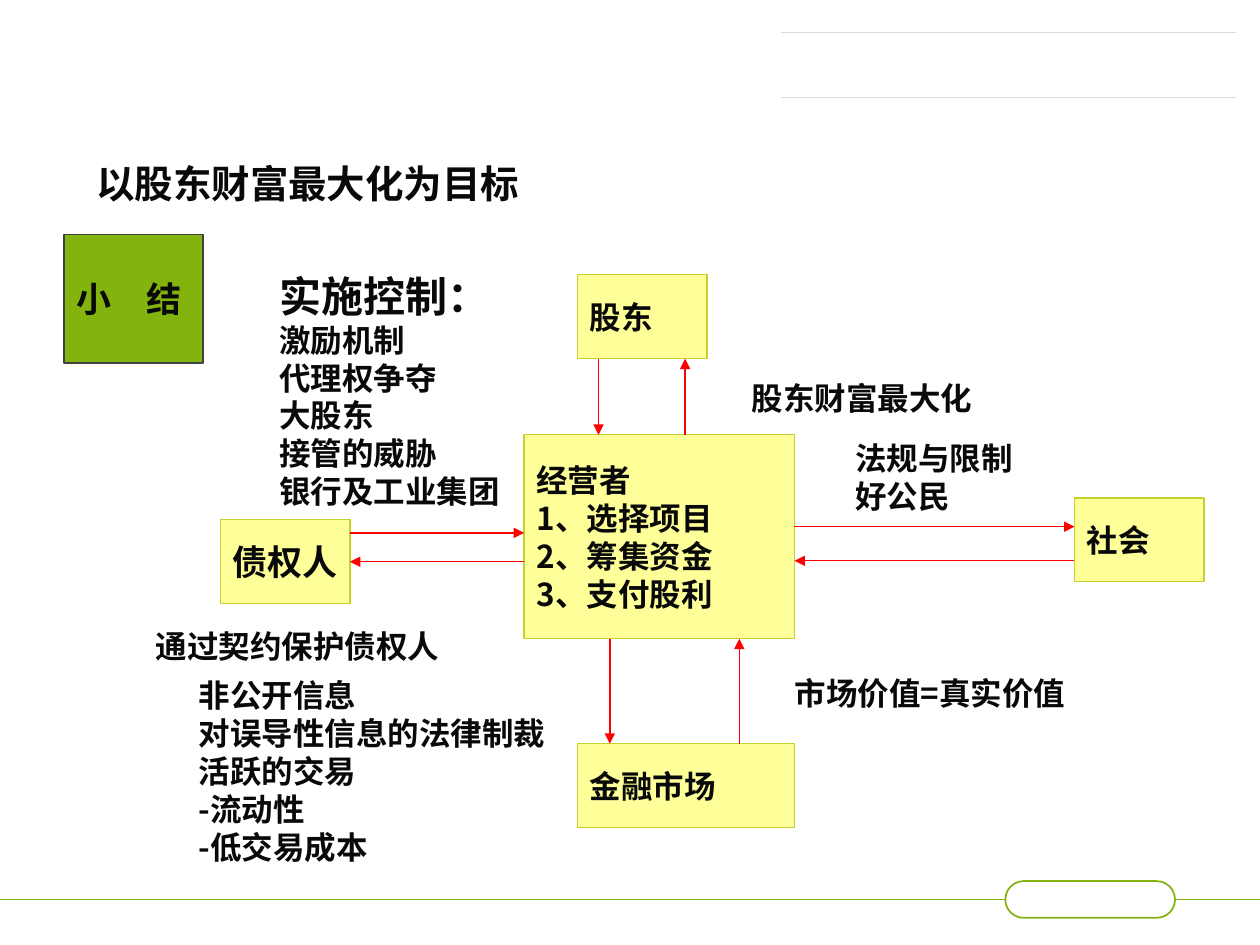
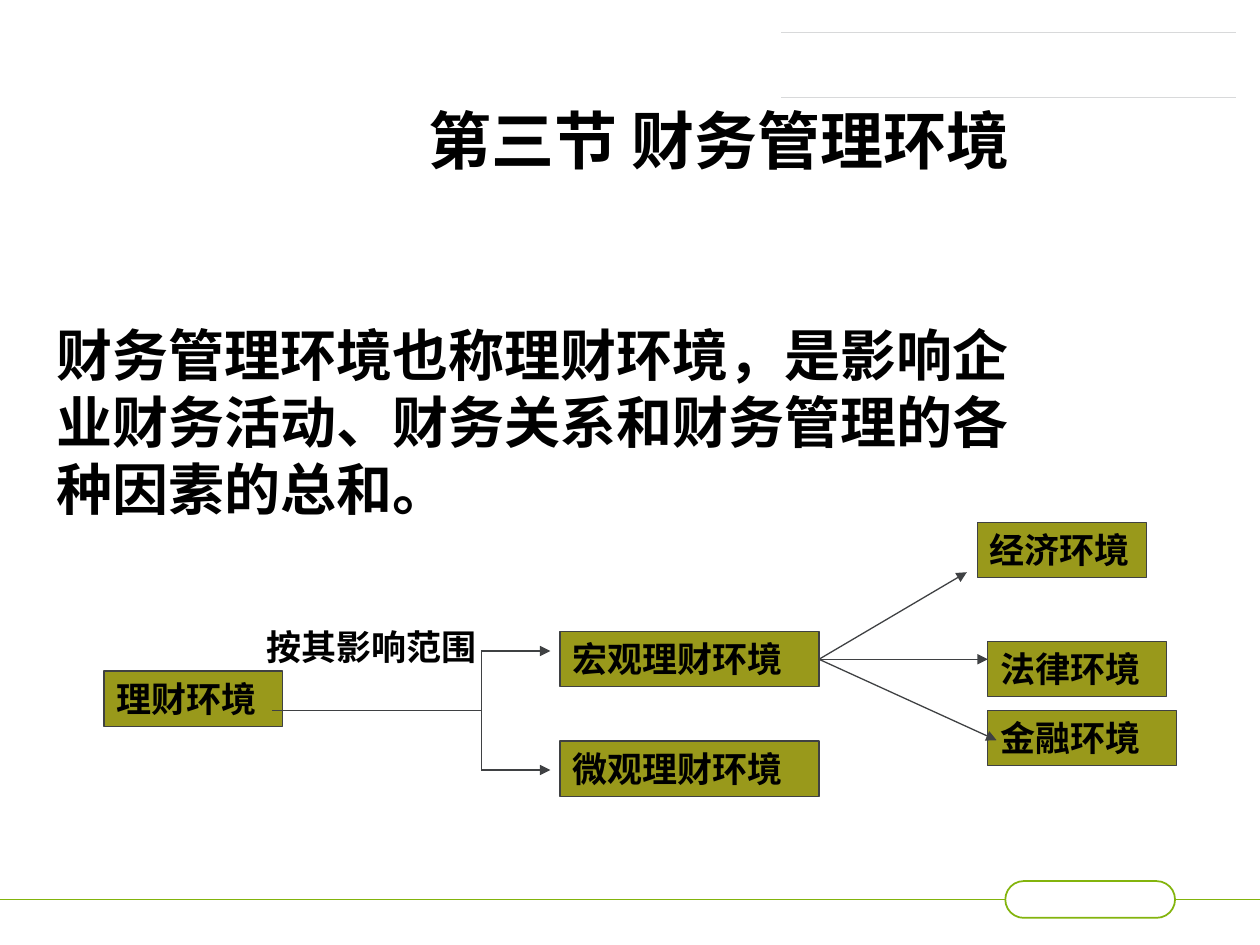
import pptx
import pptx.dml.color
import pptx.enum.lang
import pptx.enum.shapes
import pptx.enum.text
import pptx.oxml.ns
import pptx.util
from lxml import etree

Pt = pptx.util.Pt
SHAPES = pptx.enum.shapes.MSO_SHAPE
ANCHOR = pptx.enum.text.MSO_ANCHOR
ALIGN = pptx.enum.text.PP_ALIGN
AUTO_SIZE = pptx.enum.text.MSO_AUTO_SIZE
LEFT, RIGHT = 1, 3


def rgb(hex_string):
    return pptx.dml.color.RGBColor.from_string(hex_string)


class SlideBuilder:
    GREEN = "83B40D"
    OLIVE = "99991B"
    YELLOW = "FFFF99"
    YELLOW_EDGE = "C5D12F"
    RED = "FF0000"
    GREY = "D8D9DA"
    DARK = "3F4143"
    INK = "090909"
    BLACK = "000000"
    CHINESE = "Noto Sans CJK SC"
    SERIF = "Times New Roman"
    SANS = "Lato"

    def __init__(self, presentation):
        self.presentation = presentation
        self.slide = None

    def new_slide(self):
        self.slide = self.presentation.slides.add_slide(self.presentation.slide_layouts[6])
        pill = self.shape((574.5, 503.5, 97, 21), None, self.GREEN, 1, SHAPES.ROUNDED_RECTANGLE)
        pill.adjustments[0] = 0.5
        for y in (18.5, 55.5):
            self.line((446.5, y), (706.5, y), self.GREY, 0.5)
        self.line((0, 514), (574.5, 514), self.GREEN, 0.5, end_join=(pill, LEFT))
        self.line((671.5, 514), (720, 514), self.GREEN, 0.5, begin_join=(pill, RIGHT))

    def shape(self, box, fill, edge, width=0.75, kind=SHAPES.RECTANGLE):
        shape = self.slide.shapes.add_shape(kind, *map(Pt, box))
        shape.shadow.inherit = False
        if fill:
            shape.fill.solid()
            shape.fill.fore_color.rgb = rgb(fill)
        else:
            shape.fill.background()
        shape.line.color.rgb = rgb(edge)
        shape.line.width = Pt(width)
        return shape

    def label(self, shape, text, font, size, color, anchor=ANCHOR.TOP, align=ALIGN.LEFT,
              wrap=False, grow=False, space_before=0, first_size=None):
        frame = shape.text_frame
        frame.text = text
        frame.word_wrap = wrap
        frame.vertical_anchor = anchor
        frame.auto_size = AUTO_SIZE.SHAPE_TO_FIT_TEXT if grow else AUTO_SIZE.NONE
        for index, paragraph in enumerate(frame.paragraphs):
            paragraph.alignment = align
            paragraph.space_before = Pt(space_before)
            for run in paragraph.runs:
                run.font.name = font
                run.font.size = Pt(first_size if first_size and index == 0 else size)
                run.font.bold = True
                run.font.color.rgb = rgb(color)
                run.font.language_id = pptx.enum.lang.MSO_LANGUAGE_ID.SIMPLIFIED_CHINESE
        return shape

    def text(self, box, text, font, size, color, **style):
        shape = self.slide.shapes.add_textbox(*map(Pt, box))
        return self.label(shape, text, font, size, color, **style)

    def party(self, box, text, font=SERIF, size=18):
        shape = self.shape(box, self.YELLOW, self.YELLOW_EDGE)
        return self.label(shape, text, font, size, self.INK, anchor=ANCHOR.MIDDLE)

    def environment(self, left, top, width, text):
        shape = self.shape((left, top, width, 31.5), self.OLIVE, self.DARK)
        return self.label(shape, text, self.SANS, 20, self.BLACK,
                          wrap=True, grow=True, space_before=12.5)

    def line(self, begin, end, color, width=0.75, arrow=False, begin_join=None, end_join=None):
        connector = self.slide.shapes.add_connector(
            pptx.enum.shapes.MSO_CONNECTOR.STRAIGHT, *map(Pt, begin + end))
        connector.line.color.rgb = rgb(color)
        connector.line.width = Pt(width)
        if begin_join:
            connector.begin_connect(*begin_join)
        if end_join:
            connector.end_connect(*end_join)
        properties = connector.element.spPr
        qn = pptx.oxml.ns.qn
        if arrow:
            etree.SubElement(properties.find(qn("a:ln")), qn("a:tailEnd"), type="triangle")
        etree.SubElement(properties, qn("a:effectLst"))

    def vertical_exchange(self, upper, lower, down_x, up_x):
        top, bottom = upper.top.pt + upper.height.pt, lower.top.pt
        self.line((down_x, top), (down_x, bottom), self.RED, arrow=True)
        self.line((up_x, bottom), (up_x, top), self.RED, arrow=True)

    def horizontal_exchange(self, first, second, right_y, left_y, return_join=None):
        start, end = first.left.pt + first.width.pt, second.left.pt
        self.line((start, right_y), (end, right_y), self.RED, arrow=True)
        self.line((end, left_y), (start, left_y), self.RED, arrow=True, end_join=return_join)


def build_summary(builder):
    builder.new_slide()
    title = builder.text((48, 31.5, 648, 90), "以股东财富最大化为目标", "Arial", 22, builder.INK,
                         anchor=ANCHOR.BOTTOM, wrap=True)
    title.text_frame.paragraphs[0].line_spacing = 0.9

    shareholders = builder.party((330, 157, 74, 48), "股东")
    market = builder.party((330, 425, 124, 48), "金融市场")
    creditors = builder.party((126, 297, 74, 48), "债权人", size=20)
    managers = builder.party((299.5, 248.5, 154.5, 116.5),
                             "经营者\n1、选择项目\n2、筹集资金\n3、支付股利", builder.CHINESE)
    society = builder.party((614, 284.5, 74, 48), "社会")

    builder.vertical_exchange(shareholders, managers, 342, 391.5)
    builder.horizontal_exchange(managers, society, 301, 320.5)
    builder.horizontal_exchange(creditors, managers, 304.5, 321, (creditors, RIGHT))
    builder.vertical_exchange(managers, market, 348.5, 422.5)

    notes = [
        ((447, 381.5, 178, 29), "市场价值=真实价值", builder.CHINESE, {}),
        ((422.5, 213, 140.5, 29), "股东财富最大化", builder.SERIF, {}),
        ((152.5, 151, 140.5, 144), "实施控制：\n激励机制\n代理权争夺\n大股东\n接管的威胁\n银行及工业集团",
         builder.SERIF, {"first_size": 24}),
        ((481.5, 247.5, 104.5, 50.5), "法规与限制\n好公民", builder.SERIF, {}),
        ((82, 355, 183, 29), "通过契约保护债权人", builder.SERIF, {"wrap": True}),
        ((106.5, 383, 212.5, 115), "非公开信息\n对误导性信息的法律制裁\n活跃的交易\n-流动性\n-低交易成本",
         builder.CHINESE, {}),
    ]
    for box, text, font, style in notes:
        builder.text(box, text, font, 18, builder.INK, grow=True, **style)

    badge = builder.shape((36.5, 134, 79.5, 73.5), builder.GREEN, builder.DARK)
    builder.label(badge, "小　结", builder.SANS, 20, builder.INK, anchor=ANCHOR.MIDDLE)


def build_environment(builder):
    builder.new_slide()
    builder.text((150.5, 54.5, 521, 50.5), "第三节 财务管理环境", builder.CHINESE, 36, builder.BLACK,
                 align=ALIGN.CENTER, wrap=True, grow=True, space_before=22.5)
    builder.text((25, 179.5, 584.5, 122.5),
                 "财务管理环境也称理财环境，是影响企业财务活动、财务关系和财务管理的各种因素的总和。",
                 builder.CHINESE, 32, builder.BLACK, wrap=True, grow=True, space_before=20)

    builder.environment(59.5, 383.5, 102, "理财环境")
    macro = builder.environment(320, 361, 148, "宏观理财环境")
    builder.environment(320, 423.5, 148, "微观理财环境")
    builder.text((155.5, 349.5, 114, 39.5), "按其影响范围", builder.SANS, 20, builder.BLACK,
                 anchor=ANCHOR.MIDDLE, align=ALIGN.CENTER, space_before=12.5)

    trunk, upper, lower = 275, 372, 440
    middle = (upper + lower) / 2
    builder.line((155.5, middle), (trunk, middle), builder.DARK)
    builder.line((trunk, upper), (trunk, lower), builder.DARK)
    for y in (lower, upper):
        builder.line((trunk, y), (314.5, y), builder.DARK, arrow=True)

    builder.environment(564.5, 366.5, 102, "法律环境")
    builder.environment(564.5, 406, 108, "金融环境")
    builder.environment(558.5, 298.5, 96.5, "经济环境")
    fork = (468, 376.75)
    for tip in ((552.5, 327), (564.5, 376.75), (569.5, 423)):
        builder.line(fork, tip, builder.DARK, arrow=True, begin_join=(macro, RIGHT))


def main():
    presentation = pptx.Presentation()
    presentation.slide_width = Pt(720)
    presentation.slide_height = Pt(540)
    builder = SlideBuilder(presentation)
    build_summary(builder)
    build_environment(builder)
    presentation.save("out.pptx")


if __name__ == "__main__":
    main()
